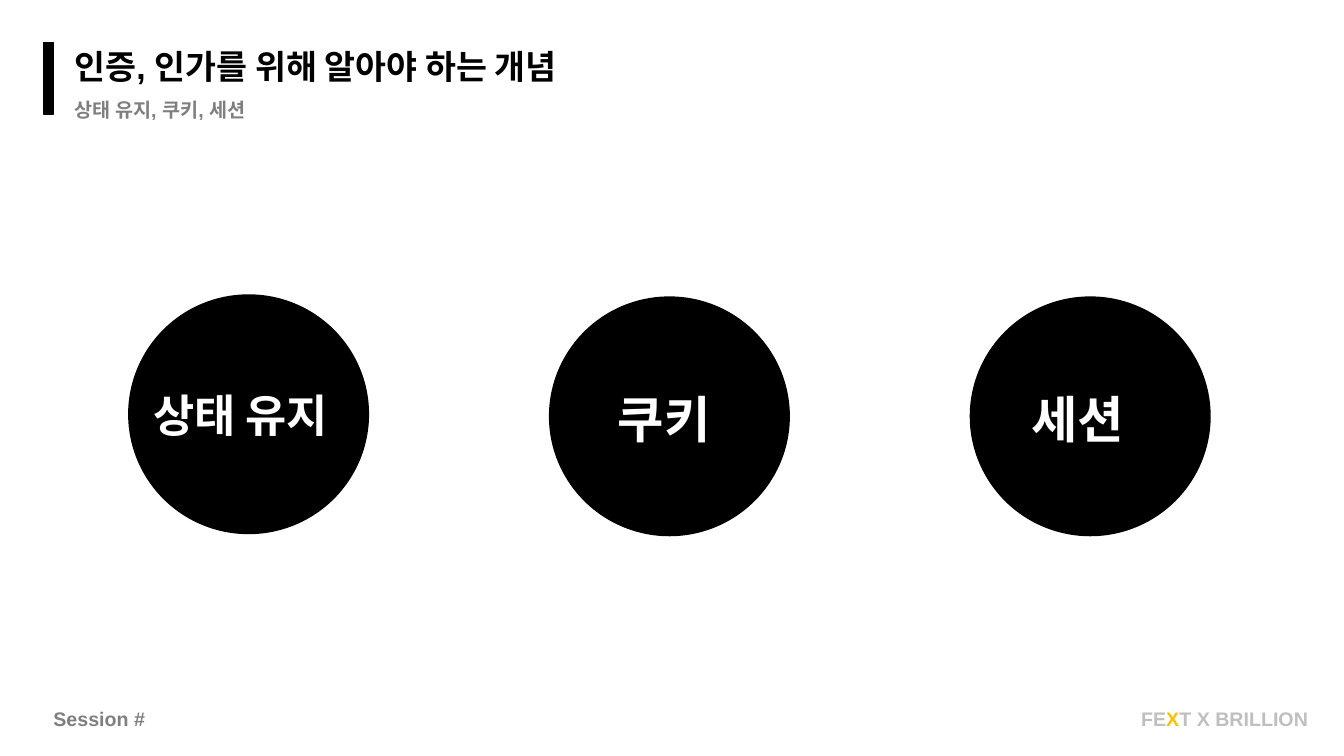
from dataclasses import dataclass

from pptx import Presentation
from pptx.dml.color import RGBColor
from pptx.enum.shapes import MSO_SHAPE
from pptx.util import Inches, Pt


@dataclass(frozen=True)
class Theme:
    font: str = "Arial"
    ink: str = "000000"
    paper: str = "FFFFFF"
    muted: str = "7F7F7F"
    faint: str = "BFBFBF"
    accent: str = "FFC000"
    title: int = 24
    small: int = 14
    long_label: int = 32
    label: int = 36


class SlideBuilder:
    def __init__(self, deck, theme):
        self.deck = deck
        self.theme = theme
        self.page = deck.slides.add_slide(deck.slide_layouts[6])

    def place(self, left, top, width, height):
        across, down = self.deck.slide_width / 100, self.deck.slide_height / 100
        return [round(length) for length in
                (left * across, top * down, width * across, height * down)]

    def shape(self, kind, area, outlined=False):
        shape = self.page.shapes.add_shape(kind, *self.place(*area))
        shape.shadow.inherit = False
        shape.fill.solid()
        shape.fill.fore_color.rgb = RGBColor.from_string(self.theme.ink)
        if outlined:
            shape.line.color.rgb = RGBColor.from_string(self.theme.ink)
            shape.line.width = Pt(1)
        else:
            shape.line.fill.background()

    def text(self, area, size, *spans):
        box = self.page.shapes.add_textbox(*self.place(*area))
        box.text_frame.word_wrap = True
        para = box.text_frame.paragraphs[0]
        para.font.name = self.theme.font
        para.font.size = Pt(size)
        para.font.bold = True
        for words, color in spans:
            span = para.add_run()
            span.text = words
            span.font.color.rgb = RGBColor.from_string(color)


def main():
    deck = Presentation()
    deck.slide_width, deck.slide_height = Inches(13.33), Inches(7.5)
    theme = Theme()
    builder = SlideBuilder(deck, theme)

    builder.shape(MSO_SHAPE.RECTANGLE, (3.23, 5.6, 0.75, 9.47), outlined=True)
    builder.text((4.8, 5.47, 44.4, 6.67), theme.title,
                 ("인증, 인가를 위해 알아야 하는 개념", theme.ink))
    builder.text((4.8, 12.27, 24.38, 4.53), theme.small,
                 ("상태 유지, 쿠키, 세션", theme.muted))
    builder.text((3.23, 92.8, 8.55, 4.53), theme.small,
                 ("Session #", theme.muted))
    builder.text((84.17, 92.8, 14.1, 4.53), theme.small,
                 ("FE", theme.faint), ("X", theme.accent),
                 ("T X BRILLION", theme.faint))

    first_left, pitch = 9.53, 31.31
    concepts = [
        ("상태 유지", theme.long_label, 38.93, 10.65, 16.35, 8.53),
        ("쿠키", theme.label, 39.2, 45.24, 10.35, 9.47),
        ("세션", theme.label, 39.2, 75.99, 10.2, 9.47),
    ]
    for index, (words, size, top, left, width, height) in enumerate(concepts):
        builder.shape(MSO_SHAPE.OVAL,
                      (first_left + index * pitch, top, 17.93, 31.73))
        builder.text((left, 50.67, width, height), size, (words, theme.paper))

    deck.save("out.pptx")


if __name__ == "__main__":
    main()
